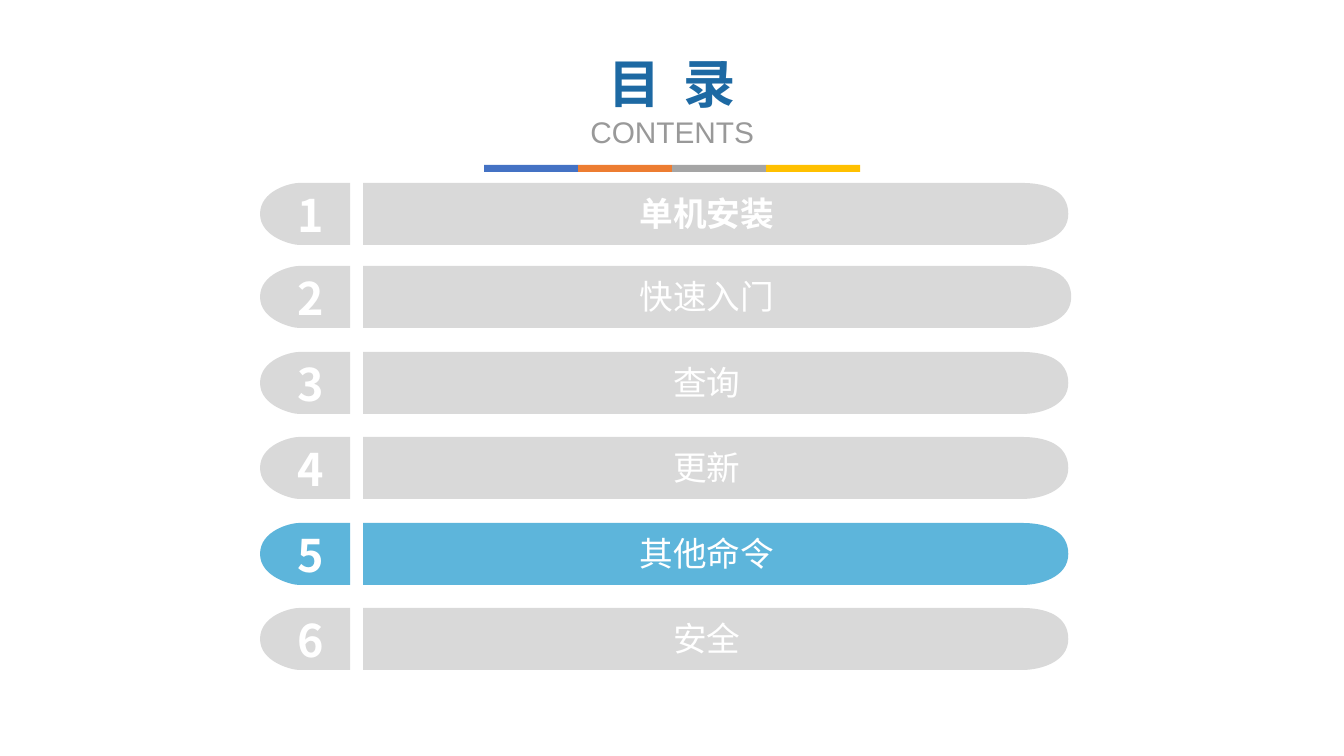
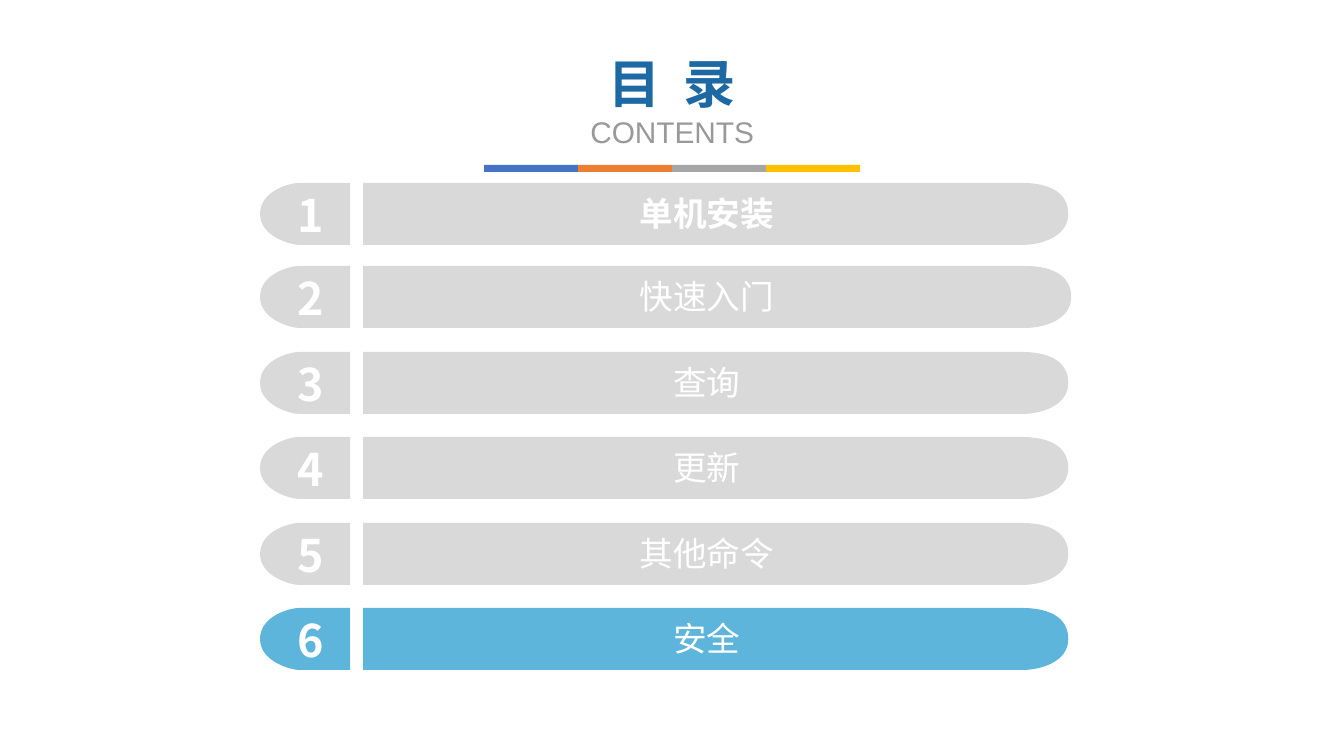
from pptx import Presentation
from pptx import util as u
from pptx.dml import color
from pptx.enum import shapes, text
from pptx.oxml import ns
from lxml import etree

PIXELS_PER_INCH = 100.8
CJK_FONT = "Noto Sans CJK SC"
WHITE, GREY, HIGHLIGHT = "FFFFFF", "D9D9D9", "5DB5DB"
TITLE_BLUE, SUBTITLE_GREY = "1D69A3", "999999"
RULE_COLORS = ["4472C4", "ED7D31", "A5A5A5", "FFC000"]

TITLE_BOX = (563, 46, 218, 110)
TITLE_SPACING = "425"
RULE_BOX = (484, 165, 376, 7)
LIST_LEFT = 260
ROW_HEIGHT = 62
TAB_WIDTH = 90
GAP = 13

ENTRIES = [
    (183, 705, "单机安装", True),
    (266, 708, "快速入门", False),
    (352, 705, "查询", False),
    (437, 705, "更新", False),
    (523, 705, "其他命令", False),
    (608, 705, "安全", False),
]


def px(value):
    return u.Emu(round(value * 914400 / PIXELS_PER_INCH))


def rgb(value):
    return color.RGBColor.from_string(value)


def fill_plain(shape, fill_color):
    shape.shadow.inherit = False
    shape.fill.solid()
    shape.fill.fore_color.rgb = rgb(fill_color)
    shape.line.fill.background()


def style_paragraph(paragraph, size, font_color, bold=False, font_name=CJK_FONT):
    paragraph.alignment = text.PP_ALIGN.CENTER
    paragraph.line_spacing = 1.0
    paragraph.space_before = u.Pt(0)
    for run in paragraph.runs:
        run.font.name = font_name
        run.font.size = u.Pt(size)
        run.font.bold = bold
        run.font.color.rgb = rgb(font_color)
        east_asian = etree.Element(ns.qn("a:ea"), typeface=CJK_FONT)
        run.font._element.find(ns.qn("a:latin")).addnext(east_asian)


def curve_segments(shape, first_segment):
    segments = list(shape._element.iter(ns.qn("a:lnTo")))[first_segment:]
    for start in range(0, len(segments), 3):
        curve = etree.Element(ns.qn("a:cubicBezTo"))
        segments[start].addprevious(curve)
        for segment in segments[start:start + 3]:
            curve.append(segment[0])
            segment.getparent().remove(segment)


def add_capped_bar(parent, box, tip_on_right, depth, lower_pull, upper_pull, fill_color):
    left, top, width, height = box
    tip = left + width if tip_on_right else left
    flat = left if tip_on_right else left + width
    inward = -1 if tip_on_right else 1
    bottom, middle = top + height, top + height / 2
    pull = height / 8
    outline = [
        (flat, bottom),
        (tip + inward * depth, bottom),
        (tip + inward * lower_pull, bottom), (tip, bottom - pull), (tip, middle),
        (tip, top + pull), (tip + inward * upper_pull, top), (tip + inward * depth, top),
    ]
    builder = parent.shapes.build_freeform(px(flat), px(top))
    builder.add_line_segments([(px(x), px(y)) for x, y in outline], close=True)
    shape = builder.convert_to_shape()
    curve_segments(shape, 2)
    fill_plain(shape, fill_color)


def add_label(parent, box, content, size, bold, wrap):
    shape = parent.shapes.add_textbox(*map(px, box))
    frame = shape.text_frame
    frame.text = content
    frame.word_wrap = wrap
    frame.auto_size = text.MSO_AUTO_SIZE.SHAPE_TO_FIT_TEXT
    style_paragraph(frame.paragraphs[0], size, WHITE, bold)


def add_heading(slide, box):
    title = slide.shapes.title
    title.left, title.top, title.width, title.height = map(px, box)
    frame = title.text_frame
    frame.text = "目 录\nCONTENTS"
    frame.word_wrap = True
    frame.auto_size = text.MSO_AUTO_SIZE.SHAPE_TO_FIT_TEXT
    frame.vertical_anchor = text.MSO_ANCHOR.TOP
    heading, subtitle = frame.paragraphs
    style_paragraph(heading, 37.3, TITLE_BLUE, True, "Arial Narrow")
    style_paragraph(subtitle, 21.3, SUBTITLE_GREY, False, "Arial")
    heading.runs[0].font._element.set("spc", TITLE_SPACING)


def add_color_rule(slide, box):
    left, top, width, height = box
    group = slide.shapes.add_group_shape()
    part = width / len(RULE_COLORS)
    for index, fill_color in enumerate(RULE_COLORS):
        shape = group.shapes.add_shape(
            shapes.MSO_SHAPE.RECTANGLE,
            px(left + index * part), px(top), px(part), px(height))
        fill_plain(shape, fill_color)


def add_entry(slide, box, number, label, bold, fill_color):
    left, top, width, height = box
    bar_left = left + TAB_WIDTH + GAP
    bar_width = width - TAB_WIDTH - GAP
    group = slide.shapes.add_group_shape()
    add_capped_bar(group, (bar_left, top, bar_width, height), True, 46, 28, 22, fill_color)
    add_capped_bar(group, (left, top, TAB_WIDTH, height), False, 39, 32, 30, fill_color)
    add_label(group, (left + 27, top, 48, 64), str(number), 32, True, False)
    add_label(group, (bar_left + 4, top + 5, 679, 50), label, 24, bold, True)


def add_contents_slide(presentation, current):
    slide = presentation.slides.add_slide(presentation.slide_layouts[5])
    add_heading(slide, TITLE_BOX)
    add_color_rule(slide, RULE_BOX)
    for number, (top, bar_width, label, bold) in enumerate(ENTRIES, 1):
        box = (LIST_LEFT, top, TAB_WIDTH + GAP + bar_width, ROW_HEIGHT)
        fill_color = HIGHLIGHT if number == current else GREY
        add_entry(slide, box, number, label, bold, fill_color)


presentation = Presentation()
presentation.slide_width = u.Inches(13.33)
presentation.slide_height = u.Inches(7.5)
for current in (5, 6):
    add_contents_slide(presentation, current)
presentation.save("out.pptx")
